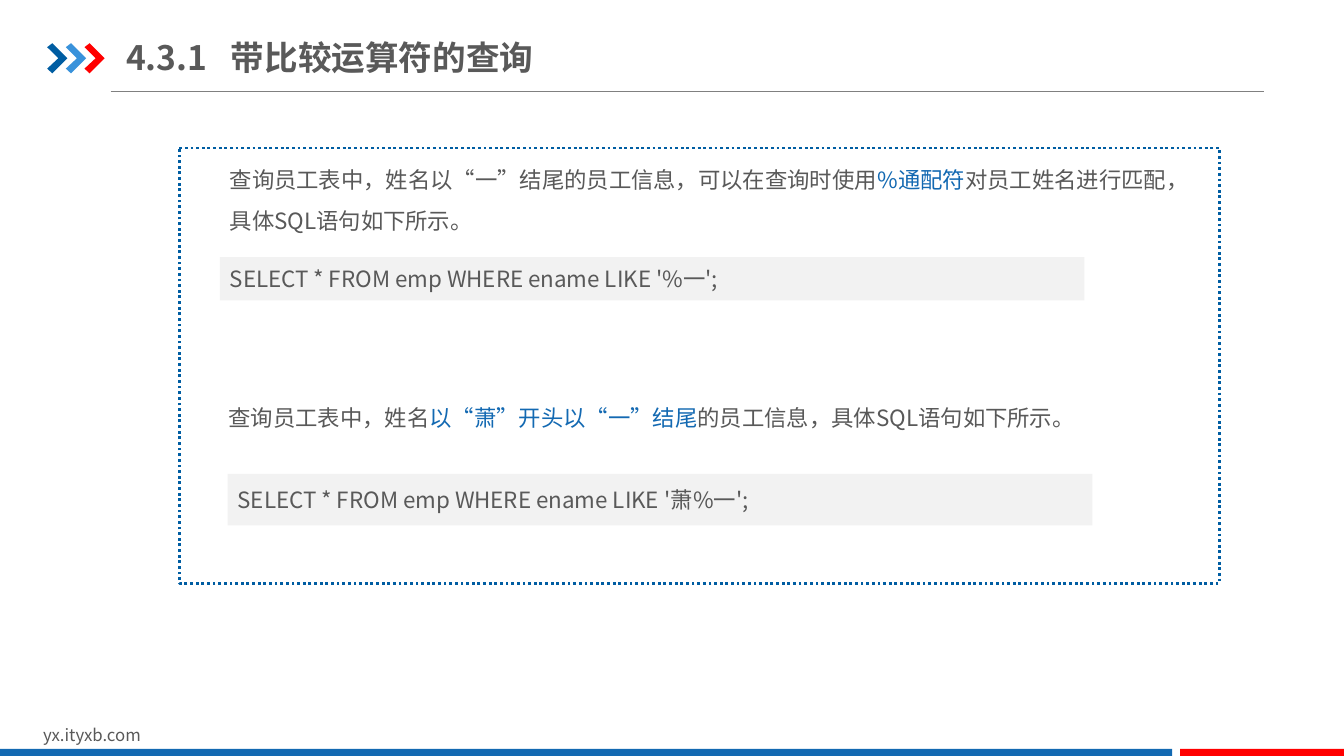
from lxml import etree
from pptx import Presentation
from pptx.dml.color import RGBColor
from pptx.enum.dml import MSO_LINE
from pptx.enum.shapes import MSO_CONNECTOR, MSO_SHAPE
from pptx.enum.text import MSO_ANCHOR, MSO_AUTO_SIZE, PP_ALIGN
from pptx.oxml.ns import qn
from pptx.util import Cm, Pt

FACE = "Noto Sans CJK SC"
NAVY = RGBColor(0x00, 0x5D, 0xA2)
SKY = RGBColor(0x39, 0x92, 0xDB)
BLUE = RGBColor(0x13, 0x69, 0xB2)
RED = RGBColor(0xFF, 0x00, 0x00)
DARK = RGBColor(0x59, 0x59, 0x59)
GRAY = RGBColor(0x80, 0x80, 0x80)
PALE = RGBColor(0xF2, 0xF2, 0xF2)
WHITE = RGBColor(0xFF, 0xFF, 0xFF)
RECT, FLOW = MSO_SHAPE.RECTANGLE, MSO_SHAPE.FLOWCHART_PROCESS
LINE, DOTS = MSO_CONNECTOR.STRAIGHT, MSO_LINE.ROUND_DOT
MIDDLE, TOP = MSO_ANCHOR.MIDDLE, MSO_ANCHOR.TOP
LEFT, FIXED = PP_ALIGN.LEFT, MSO_AUTO_SIZE.NONE

HEAD = {"size": Pt(24), "bold": True}
BODY = {"size": Pt(16), "bold": False}
SMALL = {"size": Pt(12), "bold": False}
ARROW = [(0, 0.1), (0.13, 0), (0.51, 0.38), (0.13, 0.76), (0, 0.64), (0.28, 0.38)]
CASES = [
    {
        "text": [
            ("查询员工表中，姓名以“一”结尾的员工信息，可以在查询时使用", DARK),
            ("%通配符", BLUE),
            ("对员工姓名进行匹配，具体SQL语句如下所示。", DARK),
        ],
        "note": (1.02, 0, 25.22, 2.31),
        "code": "SELECT * FROM emp WHERE ename LIKE '%一';",
        "bar": (1.02, 2.75, 21.79, 1.09),
    },
    {
        "text": [
            ("查询员工表中，姓名", DARK),
            ("以“萧”开头以“一”结尾", BLUE),
            ("的员工信息，具体SQL语句如下所示。", DARK),
        ],
        "note": (0.99, 6, 25.22, 1.27),
        "code": "SELECT * FROM emp WHERE ename LIKE '萧%一';",
        "bar": (1.22, 8.21, 21.79, 1.3),
    },
]


def place(box, part):
    """Return the lengths of a part given relative to a box."""
    x, y, w, h = part
    return Cm(box[0] + x), Cm(box[1] + y), Cm(w), Cm(h)


def write(frame, runs, form, anchor=TOP, space=1.0):
    """Fill a frame with one left-aligned paragraph of coloured runs."""
    setup = {"word_wrap": True, "auto_size": FIXED, "vertical_anchor": anchor}
    for key, value in setup.items():
        setattr(frame, key, value)
    para = frame.paragraphs[0]
    para.alignment, para.line_spacing = LEFT, space
    for text, color in runs:
        run = para.add_run()
        run.text = text
        for key, value in {**form, "name": FACE}.items():
            setattr(run.font, key, value)
        run.font.color.rgb = color
        asian = etree.SubElement(run.font._element, qn("a:ea"))
        asian.set("typeface", FACE)


def paint(shape, color):
    """Give a shape a flat fill with no line and no shadow."""
    shape.shadow.inherit = False
    shape.fill.solid()
    shape.fill.fore_color.rgb = color
    shape.line.fill.background()
    return shape


def header(slide, box):
    """Place the chevrons, the title and the rule below it."""
    x, y, w, h = box
    rule = slide.shapes.add_connector(LINE, Cm(x + 1.6), Cm(y + h), Cm(x + w), Cm(y + h))
    rule.line.color.rgb, rule.line.width = GRAY, Pt(0.75)
    etree.SubElement(rule._element.spPr, qn("a:effectLst"))
    for step, color in enumerate((NAVY, SKY, RED)):
        points = [(Cm(x + 0.47 * step + px), Cm(y + 0.35 + py)) for px, py in ARROW]
        build = slide.shapes.build_freeform(*points[0])
        build.add_line_segments(points[1:], close=True)
        paint(build.convert_to_shape(), color)
    title = slide.shapes.title
    title.left, title.top, title.width, title.height = place(box, (1.99, 0, 10.82, 1.4))
    frame = title.text_frame
    frame.margin_left = frame.margin_right = 0
    props = frame.paragraphs[0]._p.get_or_add_pPr()
    tabs = etree.SubElement(props, qn("a:tabLst"))
    etree.SubElement(tabs, qn("a:tab"), pos=str(Cm(2.64)), algn="l")
    write(frame, [("4.3.1\t带比较运算符的查询", DARK)], HEAD, MIDDLE)


def panel(slide, box):
    """Place the dotted frame with its notes and code bars."""
    frame = paint(slide.shapes.add_shape(FLOW, *place(box, (0, 0, *box[2:]))), WHITE)
    frame.line.color.rgb = NAVY
    for key, value in {"width": Pt(2), "dash_style": DOTS}.items():
        setattr(frame.line, key, value)
    for case in CASES:
        note = slide.shapes.add_textbox(*place(box, case["note"]))
        write(note.text_frame, case["text"], BODY, space=1.5)
        bar = paint(slide.shapes.add_shape(RECT, *place(box, case["bar"])), PALE)
        write(bar.text_frame, [(case["code"], DARK)], BODY, MIDDLE)


def footer(slide, box):
    """Place the web address above the two colour bars."""
    site = slide.shapes.add_textbox(*place(box, (0.84, 0, 8.08, 0.76)))
    write(site.text_frame, [("yx.ityxb.com", DARK)], SMALL)
    for left, width, color in ((0, 29.54, BLUE), (29.74, 4.13, RED)):
        part = (left, 0.73, width, box[3] - 0.73)
        paint(slide.shapes.add_shape(RECT, *place(box, part)), color)


def main():
    """Build the slide and save it."""
    deck = Presentation()
    deck.slide_width, deck.slide_height = Cm(33.87), Cm(19.05)
    slide = deck.slides.add_slide(deck.slide_layouts.get_by_name("Title Only"))
    header(slide, (1.19, 0.74, 30.66, 1.57))
    panel(slide, (4.52, 3.73, 26.21, 10.97))
    footer(slide, (0, 18.14, 33.87, 0.91))
    deck.save("out.pptx")


if __name__ == "__main__":
    main()
